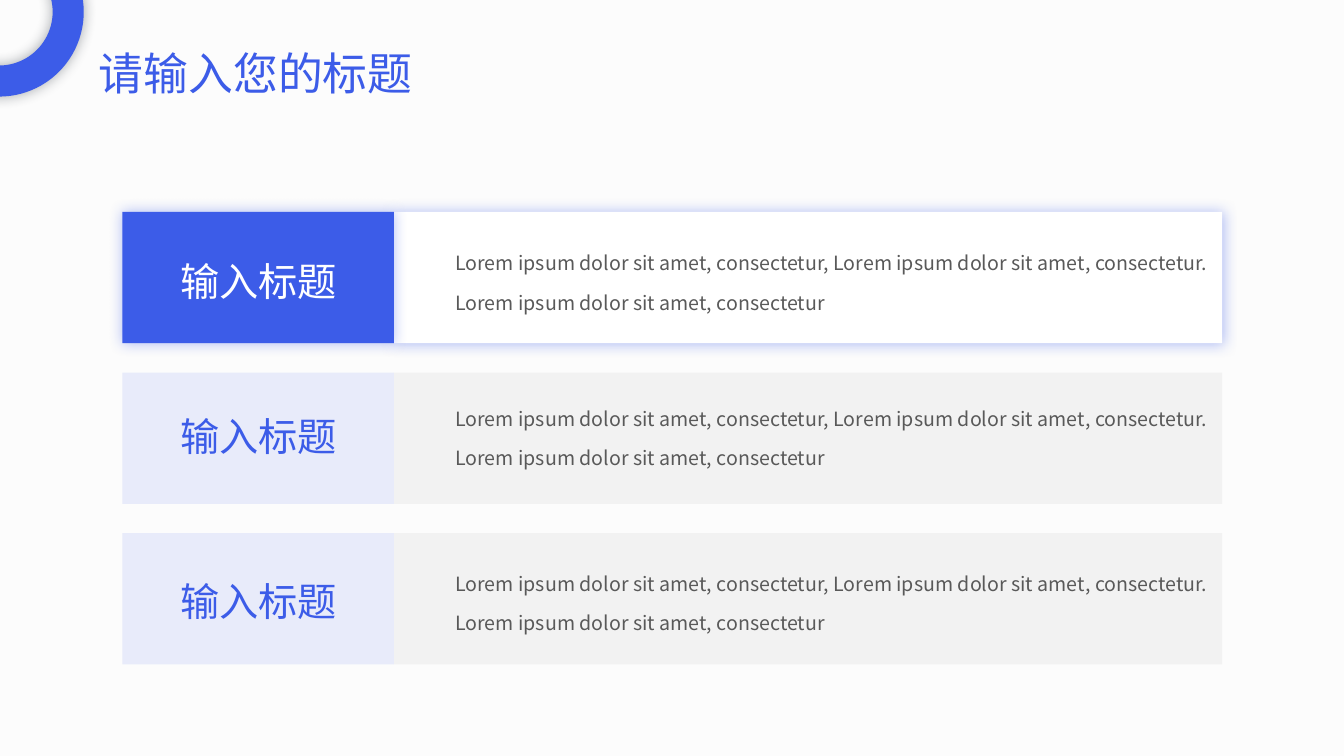
from dataclasses import dataclass

from lxml.etree import SubElement
from pptx import Presentation
from pptx.dml.color import RGBColor
from pptx.enum.shapes import MSO_SHAPE
from pptx.enum.text import MSO_ANCHOR, MSO_AUTO_SIZE, PP_ALIGN
from pptx.oxml.ns import qn
from pptx.util import Pt

TITLE = "请输入您的标题"
DESCRIPTION = (
    "Lorem ipsum dolor sit amet, consectetur, Lorem ipsum dolor sit amet, consectetur.",
    "Lorem ipsum dolor sit amet, consectetur",
)
ROWS = [
    {"label": "输入标题", "lines": DESCRIPTION, "text_drop": 10.1, "active": True},
    {"label": "输入标题", "lines": DESCRIPTION, "text_drop": 6.5, "active": False},
    {"label": "输入标题", "lines": DESCRIPTION, "text_drop": 9.4, "active": False},
]


@dataclass(frozen=True)
class Theme:
    """Colours, typeface and type sizes of the slide."""

    font: str = "Noto Sans CJK SC"
    background: str = "FCFCFC"
    accent: str = "3C5CE8"
    pale: str = "E8EBFA"
    white: str = "FFFFFF"
    grey: str = "F2F2F2"
    body: str = "595959"
    ring_shadow: str = "222A35"
    title_size: float = 32
    label_size: float = 28
    body_size: float = 14


THEME = Theme()
WIDTH, HEIGHT = 960, 540
ROW_LEFT, ROW_TOP, ROW_HEIGHT, ROW_PITCH = 87.4, 151.4, 93.8, 114.7
LABEL_WIDTH, PANEL_WIDTH = 194, 591.6
LABEL_DROP = 12.2
RING_SIZE, RING_BAND = 121, 22.2


def place(shape, left, top, width, height):
    shape.left, shape.top, shape.width, shape.height = map(Pt, (left, top, width, height))


def add_filled(shapes, kind, frame, color, shadow=None):
    shape = shapes.add_shape(kind, *map(Pt, frame))
    shape.fill.solid()
    shape.fill.fore_color.rgb = RGBColor.from_string(color)
    shape.line.fill.background()
    shape.shadow.inherit = False
    if shadow:
        effects = shape._element.spPr.find(qn("a:effectLst"))
        outer = SubElement(effects, qn("a:outerShdw"), blurRad=str(Pt(10)), dist="0",
                           algn="ctr", rotWithShape="0")
        tint = SubElement(outer, qn("a:srgbClr"), val=shadow)
        SubElement(tint, qn("a:alpha"), val="40000")
    return shape


def write(box, lines, size, color, align=PP_ALIGN.LEFT, anchor=MSO_ANCHOR.TOP):
    frame = box.text_frame
    frame.text = "\n".join(lines)
    frame.word_wrap = True
    frame.auto_size = MSO_AUTO_SIZE.NONE
    frame.vertical_anchor = anchor
    for para in frame.paragraphs:
        para.alignment = align
        for span in para.runs:
            span.font.size = Pt(size)
            span.font.name = THEME.font
            span.font.color.rgb = RGBColor.from_string(color)
            SubElement(span.font._element, qn("a:ea"), typeface=THEME.font)


def add_padded_box(shapes, frame):
    box = shapes.add_textbox(*map(Pt, frame))
    text = box.text_frame
    text.margin_left = text.margin_right = Pt(19.2)
    text.margin_top = text.margin_bottom = Pt(9.6)
    return box


def add_row(slide, index, row):
    top = ROW_TOP + index * ROW_PITCH
    active = row["active"]
    shapes = slide.shapes.add_group_shape().shapes
    shadow = THEME.accent if active else None
    add_filled(shapes, MSO_SHAPE.RECTANGLE,
               (ROW_LEFT + LABEL_WIDTH, top, PANEL_WIDTH, ROW_HEIGHT),
               THEME.white if active else THEME.grey, shadow)
    add_filled(shapes, MSO_SHAPE.RECTANGLE, (ROW_LEFT, top, LABEL_WIDTH, ROW_HEIGHT),
               THEME.accent if active else THEME.pale, shadow)

    text_top = top + row["text_drop"]
    label = add_padded_box(shapes, (88, text_top + LABEL_DROP, 193, 53.3))
    write(label, [row["label"]], THEME.label_size,
          THEME.white if active else THEME.accent, PP_ALIGN.CENTER, MSO_ANCHOR.MIDDLE)
    description = add_padded_box(shapes, (306, text_top, 582.5, 77.8))
    write(description, row["lines"], THEME.body_size, THEME.body)
    for para in description.text_frame.paragraphs:
        para.line_spacing = 1.5
        para.space_before = Pt(2.8)


def main():
    """Build the slide with a title, a corner ring and three labelled rows."""
    deck = Presentation()
    deck.slide_width, deck.slide_height = Pt(WIDTH), Pt(HEIGHT)
    slide = deck.slides.add_slide(deck.slide_layouts[5])
    slide.background.fill.solid()
    slide.background.fill.fore_color.rgb = RGBColor.from_string(THEME.background)

    for index, row in enumerate(ROWS):
        add_row(slide, index, row)

    ring = add_filled(slide.shapes, MSO_SHAPE.DONUT, (-61.2, -52, RING_SIZE, RING_SIZE),
                      THEME.accent, THEME.ring_shadow)
    ring.adjustments[0] = RING_BAND / RING_SIZE

    title = slide.shapes.title
    place(title, 63.4, 28.8, 332.6, 46.1)
    write(title, [TITLE], THEME.title_size, THEME.accent)
    deck.save("out.pptx")


if __name__ == "__main__":
    main()
